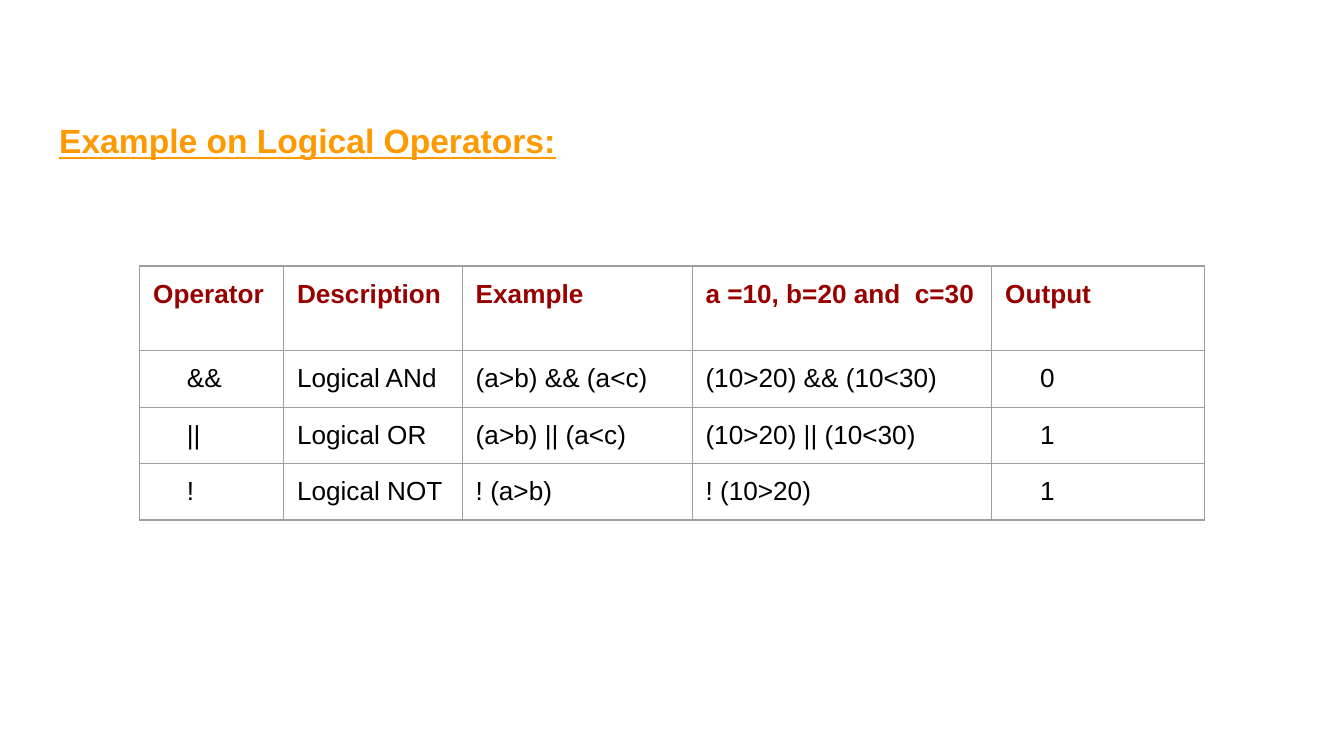
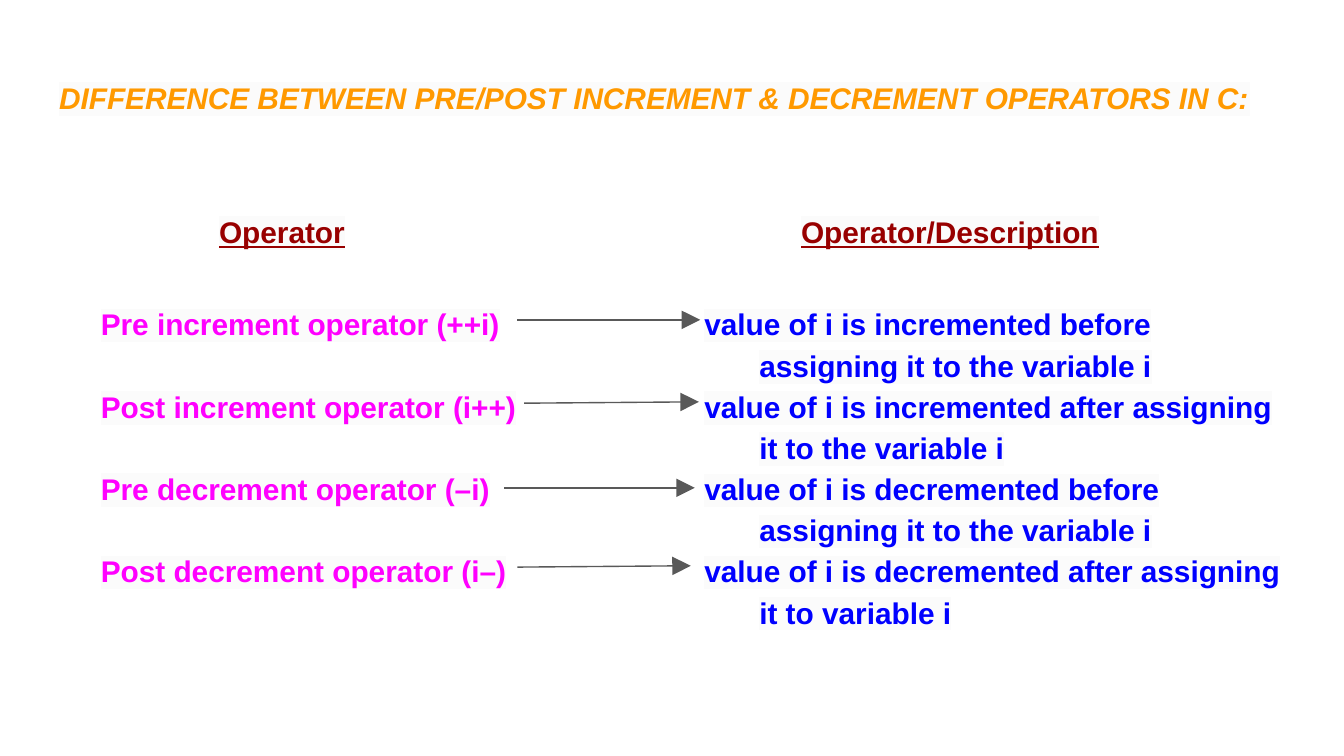
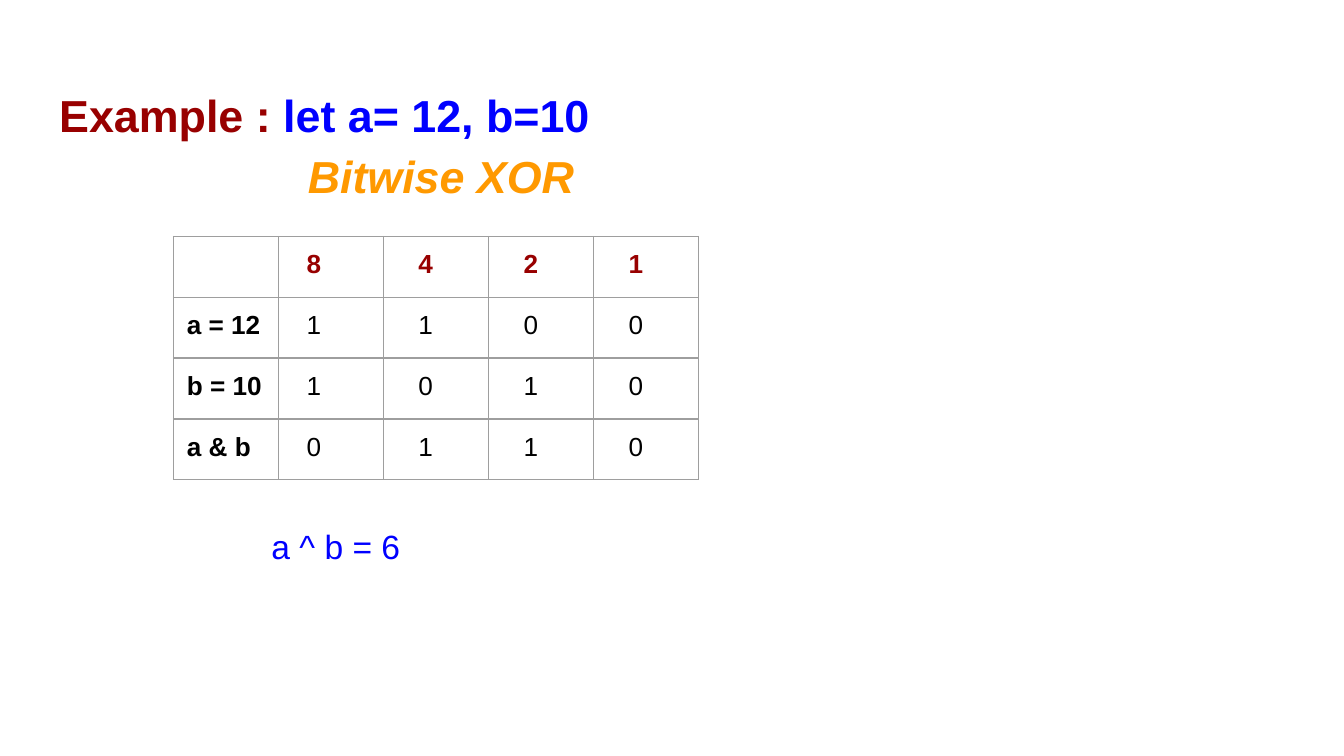
from lxml import etree
from pptx import Presentation
from pptx.dml.color import RGBColor
from pptx.enum.shapes import MSO_CONNECTOR
from pptx.enum.text import MSO_ANCHOR, MSO_AUTO_SIZE, PP_ALIGN
from pptx.oxml.ns import qn
from pptx.util import Inches, Pt

LINE = MSO_CONNECTOR.STRAIGHT
TOP = MSO_ANCHOR.TOP
FIXED = MSO_AUTO_SIZE.NONE
LEFT = PP_ALIGN.LEFT

FONT = "Arial"
ORANGE, RED, BLUE, PINK = "FF9900", "980000", "0000FF", "FF00FF"
BLACK, GRAY, RULE, PALE = "000000", "595959", "9E9E9E", "FBFBFB"
EDGE, WIDTH, INSET = 0.34, 9.32, 0.1


def paint(color):
    return RGBColor.from_string(color)


def add_run(para, text, size, color, bold=True, slant=False, under=False, mark=None):
    run = para.add_run()
    run.text = text
    font = run.font
    font.name, font.size = FONT, Pt(size)
    font.bold, font.italic, font.underline = bold, slant, under
    font.color.rgb = paint(color)
    if mark:
        light = etree.Element(qn("a:highlight"))
        etree.SubElement(light, qn("a:srgbClr"), val=mark)
        run._r.rPr.find(qn("a:solidFill")).addnext(light)


def set_para(para, indent=0, space=1.0, after=0):
    para.alignment = LEFT
    para.line_spacing = space
    para.space_before, para.space_after = Pt(0), Pt(after)
    props = para._p.get_or_add_pPr()
    props.set("marL", "0")
    props.set("indent", str(Inches(indent)))
    etree.SubElement(props, qn("a:buNone"))
    return para


def set_box(shape, top, height, left=EDGE, width=WIDTH, head=INSET):
    shape.left, shape.top = Inches(left), Inches(top)
    shape.width, shape.height = Inches(width), Inches(height)
    frame = shape.text_frame
    frame.word_wrap, frame.auto_size = True, FIXED
    frame.vertical_anchor = TOP
    frame.margin_left = frame.margin_right = frame.margin_bottom = Inches(INSET)
    frame.margin_top = Inches(head)
    return frame


def add_title(slide, top, height, space=1.0):
    frame = set_box(slide.shapes.title, top, height)
    return set_para(frame.paragraphs[0], space=space)


def set_edges(cell):
    props = cell._tc.get_or_add_tcPr()
    for side in ("lnL", "lnR", "lnT", "lnB"):
        edge = etree.SubElement(props, qn("a:" + side), w=str(Pt(0.75)))
        fill = etree.SubElement(edge, qn("a:solidFill"))
        etree.SubElement(fill, qn("a:srgbClr"), val=RULE)
    cell.fill.background()


def add_grid(slide, left, top, cols, rows, data, indents, heads, side=False):
    frame = slide.shapes.add_table(
        len(rows), len(cols), Inches(left), Inches(top),
        Inches(sum(cols)), Inches(sum(rows)))
    table = frame.table
    table.first_row = table.horz_banding = False
    for col, width in zip(table.columns, cols):
        col.width = Inches(width)
    for row, height in zip(table.rows, rows):
        row.height = Inches(height)
    for i, texts in enumerate(data):
        for j, text in enumerate(texts):
            cell = table.cell(i, j)
            set_edges(cell)
            if text:
                cell.margin_left = cell.margin_right = Inches(INSET)
                cell.margin_top = cell.margin_bottom = Inches(INSET)
                shift = (indents if i else heads)[j]
                para = set_para(cell.text_frame.paragraphs[0], shift)
                add_run(para, text, 14, BLACK if i else RED,
                        bold=i == 0 or (side and j == 0))


def add_arrow(slide, x1, y1, x2, y2):
    arrow = slide.shapes.add_connector(
        LINE, Inches(x1), Inches(y1), Inches(x2), Inches(y2))
    arrow.line.color.rgb = paint(GRAY)
    arrow.line.width = Pt(0.75)
    etree.SubElement(arrow.line._get_or_add_ln(), qn("a:tailEnd"),
                     type="triangle", w="lg", len="lg")
    etree.SubElement(arrow._element.spPr, qn("a:effectLst"))


def add_logic(deck):
    slide = deck.slides.add_slide(deck.slide_layouts[5])
    para = add_title(slide, 0.75, 0.6, 1.15)
    add_run(para, "Example on Logical Operators:", 18, ORANGE, under=True)
    data = [
        ("Operator", "Description", "Example", "a =10, b=20 and  c=30", "Output"),
        ("&&", "Logical ANd", "(a>b) && (a<c)", "(10>20) && (10<30)", "0"),
        ("||", "Logical OR", "(a>b) || (a<c)", "(10>20) || (10<30)", "1"),
        ("!", "Logical NOT", "! (a>b)", "! (10>20)", "1"),
    ]
    add_grid(slide, 1.04, 1.98, [1.07, 1.33, 1.71, 2.23, 1.58],
             [0.63] + [0.42] * 3, data, [0.25, 0, 0, 0, 0.26], [0] * 5)


def add_steps(deck):
    slide = deck.slides.add_slide(deck.slide_layouts[3])
    para = add_title(slide, 0.49, 0.63)
    add_run(para, "DIFFERENCE BETWEEN PRE/POST INCREMENT & DECREMENT OPERATORS IN C:",
            16, ORANGE, slant=True, mark=PALE)
    names = set_box(slide.placeholders[1], 1.26, 4.15, width=4.8, head=0.29)
    notes = set_box(slide.placeholders[2], 1.26, 4.15, 5.14, 4.52, 0.29)
    for frame, text, shift in [(names, "Operator", 1.19),
                               (notes, "Operator/Description", 0.72)]:
        para = set_para(frame.paragraphs[0], shift, 1.15, 27.5)
        add_run(para, text, 16, RED, under=True, mark=PALE)
    steps = [
        ("Pre increment operator (++i)", "value of i is incremented before",
         "assigning it to the variable i"),
        ("Post increment operator (i++)", "value of i is incremented after assigning",
         "it to the variable i"),
        ("Pre decrement operator (–i)", "value of i is decremented before",
         "assigning it to the variable i"),
        ("Post decrement operator (i–)", "value of i is decremented after assigning",
         "it to variable i"),
    ]
    for name, start, rest in steps:
        para = set_para(names.add_paragraph(), 0.31, 1.15, 22)
        add_run(para, name, 16, PINK, mark=PALE)
        for text, shift in [(start, 0), (rest, 0.41)]:
            para = set_para(notes.add_paragraph(), shift, 1.15)
            add_run(para, text, 16, BLUE, mark=PALE)
    for ends in [(3.85, 2.38, 5.21, 2.38), (3.9, 3, 5.2, 2.99),
                 (3.75, 3.63, 5.17, 3.63), (3.85, 4.22, 5.14, 4.21)]:
        add_arrow(slide, *ends)


def add_bits(deck):
    slide = deck.slides.add_slide(deck.slide_layouts[1])
    para = add_title(slide, 0.35, 0.6, 1.5)
    add_run(para, "Example :", 24, RED)
    add_run(para, " let a= 12, b=10", 24, BLUE)
    frame = set_box(slide.placeholders[1], 0.95, 4.05)
    para = set_para(frame.paragraphs[0], 1.85, 1.15, 170)
    add_run(para, "Bitwise XOR", 24, ORANGE, slant=True)
    para = set_para(frame.add_paragraph(), 1.58, 1.15)
    add_run(para, "a ^ b = 6", 18, BLUE, bold=False)
    data = [
        ("", "8", "4", "2", "1"),
        ("a = 12", "1", "1", "0", "0"),
        ("b = 10", "1", "0", "1", "0"),
        ("a & b", "0", "1", "1", "0"),
    ]
    shifts = [0, 0.11] + [0.16] * 3
    add_grid(slide, 1.29, 1.76, [3.91 / 5] * 5, [1.81 / 4] * 4,
             data, shifts, shifts, True)


def main():
    deck = Presentation()
    deck.slide_width = Inches(10)
    deck.slide_height = deck.slide_width * 9 // 16
    add_logic(deck)
    add_steps(deck)
    add_bits(deck)
    deck.save("out.pptx")


if __name__ == "__main__":
    main()
